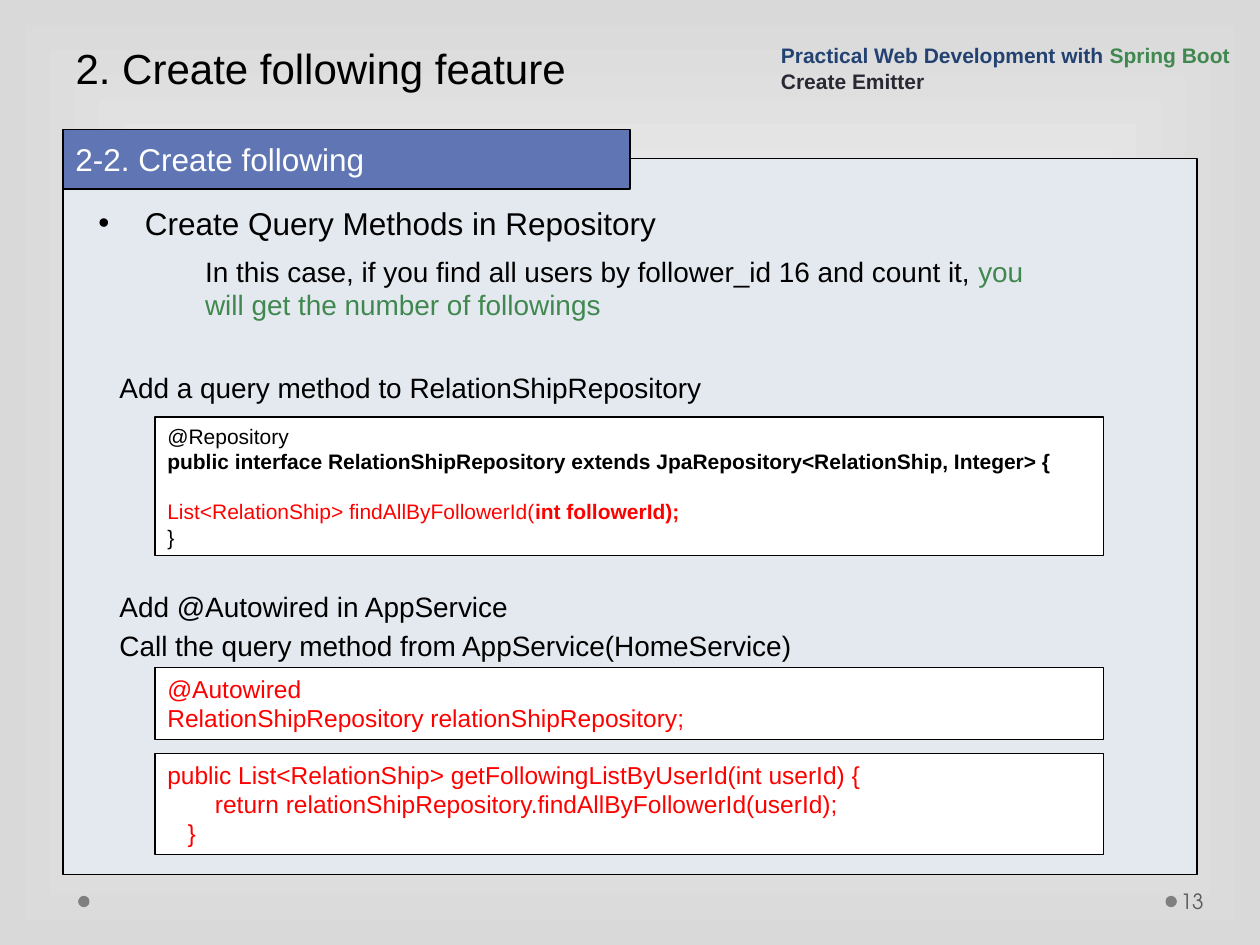
from dataclasses import dataclass

from lxml.etree import fromstring
from pptx import Presentation
from pptx.dml.color import RGBColor as Rgb
from pptx.enum.shapes import MSO_SHAPE as Form
from pptx.enum.text import MSO_ANCHOR as Anchor, MSO_AUTO_SIZE as Fit, PP_ALIGN as Align
from pptx.util import Inches, Pt

NS = "http://schemas.openxmlformats.org/drawingml/2006/main"
COLS, ROWS = 100, 75


@dataclass(frozen=True)
class Theme:
    font: str = "Arial"
    foot: str = "TeX Gyre Adventor"
    black: str = "000000"
    white: str = "FFFFFF"
    edge: str = "D9D9D9"
    panel: str = "E4E9EF"
    blue: str = "6076B4"
    navy: str = "234271"
    green: str = "40884F"
    dark: str = "292934"
    red: str = "FF0000"
    gray: str = "595959"
    dot: str = "7F7F7F"
    title: int = 24
    head: int = 18
    body: int = 16
    code: int = 14
    small: int = 12


class Page:
    """Theme and current slide; lengths are cells of a 100 by 75 grid."""

    def __init__(self, deck, theme):
        self.look = theme
        self.deck = deck
        self.slide = deck.slides.add_slide(deck.slide_layouts[1])

    def cells(self, col, row, wide, high):
        x, y = self.deck.slide_width / COLS, self.deck.slide_height / ROWS
        return [round(n) for n in (col * x, row * y, wide * x, high * y)]

    def back(self):
        fill = self.slide.background.fill
        fill.gradient()
        for stop, color in zip(fill.gradient_stops, (self.look.white, self.look.edge)):
            stop.color.rgb = Rgb.from_string(color)
        grad = self.slide.element.find(f".//{{{NS}}}gradFill")
        for line in grad.findall(f"{{{NS}}}lin"):
            grad.remove(line)
        grad.append(fromstring(
            f'<a:path xmlns:a="{NS}" path="rect">'
            '<a:fillToRect l="50000" t="50000" r="50000" b="50000"/></a:path>'))

    def label(self, shape, lines, size, color=None, anchor=Anchor.TOP, font=None, **para):
        """Each line is a list of runs: (text, format changes)."""
        frame = shape.text_frame
        style = dict(word_wrap=True, auto_size=Fit.NONE, vertical_anchor=anchor,
                     margin_left=Inches(0.1), margin_right=Inches(0.1),
                     margin_top=Inches(0.05), margin_bottom=Inches(0.05))
        for key, value in style.items():
            setattr(frame, key, value)
        for i, line in enumerate(lines):
            p = frame.add_paragraph() if i else frame.paragraphs[0]
            rules = dict(alignment=Align.LEFT, space_before=Pt(0)) | para
            for key, value in rules.items():
                setattr(p, key, value)
            for text, change in [(line, {})] if isinstance(line, str) else line:
                run = p.add_run()
                run.text = text
                look = dict(name=font or self.look.font, size=Pt(size), bold=False) | change
                tint = look.pop("color", color or self.look.black)
                for key, value in look.items():
                    setattr(run.font, key, value)
                run.font.color.rgb = Rgb.from_string(tint)
        return shape

    def hold(self, index, at, lines, size, **style):
        """Move a template placeholder and bring it to the front."""
        shape = self.slide.placeholders[index]
        shape.left, shape.top, shape.width, shape.height = self.cells(*at)
        shape.element.getparent().append(shape.element)
        return self.label(shape, lines, size, **style)

    def text(self, at, lines, size, **style):
        return self.label(self.slide.shapes.add_textbox(*self.cells(*at)), lines, size, **style)

    def box(self, at, fill, line=True, form=Form.RECTANGLE):
        shape = self.slide.shapes.add_shape(form, *self.cells(*at))
        shape.shadow.inherit = False
        shape.fill.solid()
        shape.fill.fore_color.rgb = Rgb.from_string(fill)
        if line:
            shape.line.color.rgb = Rgb.from_string(self.look.black)
            shape.line.width = Pt(0.75)
        else:
            shape.line.fill.background()
        return shape

    def code(self, row, high, lines, size, color):
        shape = self.box((12.3, row, 75.3, high), self.look.white)
        return self.label(shape, lines, size, color=color)


def main():
    deck = Presentation()
    deck.slide_width, deck.slide_height = Inches(10), Inches(7.5)
    t = Theme()
    page = Page(deck, t)
    page.back()

    # Footer dots and page number
    for col in (92.5, 6.2):
        page.box((col, 71.1, 0.9, 0.9), t.dot, line=False, form=Form.OVAL)
    foot = page.text((93.4, 69.5, 6.1, 4), ["13"], t.small, color=t.gray,
                     anchor=Anchor.MIDDLE, font=t.foot)
    foot.text_frame.margin_left = Inches(0.03)

    # Panel, title and section banner
    page.box((5, 12.6, 90, 56.8), t.panel)
    page.hold(0, (5, 0, 90, 7.9), ["2. Create following feature"], t.title,
              anchor=Anchor.BOTTOM, line_spacing=Pt(57.9))
    page.label(page.box((5, 10.3, 45, 4.7), t.blue), ["2-2. Create following"],
               t.head, color=t.white, anchor=Anchor.MIDDLE)

    # Course heading
    page.text((61, 2.4, 39, 5.5), [
        [("Practical Web Development with ", dict(bold=True)),
         ("Spring Boot", dict(bold=True, color=t.green))],
        [("Create Emitter", dict(bold=True, color=t.dark))],
    ], t.small, color=t.navy, anchor=Anchor.BOTTOM)

    # Bullet and its explanation
    body = page.hold(1, (6.8, 15.7, 77.4, 4), ["Create Query Methods in Repository"], t.head)
    props = body.text_frame.paragraphs[0]._p.get_or_add_pPr()
    for key, inch in dict(marL=0.37, indent=-0.37).items():
        props.set(key, str(Inches(inch)))
    page.text((15.3, 19.7, 70.3, 6.4), [[
        ("In this case, if you find all users by follower_id 16 and count it, ", {}),
        ("you will get the number of followings", dict(color=t.green)),
    ]], t.body)

    # Step captions
    for row, step in (
        (28.9, "Add a query method to RelationShipRepository"),
        (46.3, "Add @Autowired in AppService"),
        (49.4, "Call the query method from AppService(HomeService)"),
    ):
        page.text((8.5, row, 70.3, 3.7), [step], t.body)

    # Code boxes
    repo = page.code(33.1, 11, [
        "@Repository",
        [("public interface RelationShipRepository extends "
          "JpaRepository<RelationShip, Integer> {", dict(bold=True))],
        [("List<RelationShip> findAllByFollowerId(", dict(color=t.red)),
         ("int followerId);", dict(color=t.red, bold=True))],
        "}",
    ], t.small, t.black)
    repo.text_frame.paragraphs[2].space_before = Pt(14.5)
    page.code(53, 5.7, [
        "@Autowired",
        "RelationShipRepository relationShipRepository;",
    ], t.code, t.red)
    page.code(59.8, 8, [
        "public List<RelationShip> getFollowingListByUserId(int userId) {",
        "       return relationShipRepository.findAllByFollowerId(userId);",
        "   }",
    ], t.code, t.red)

    deck.save("out.pptx")


if __name__ == "__main__":
    main()
